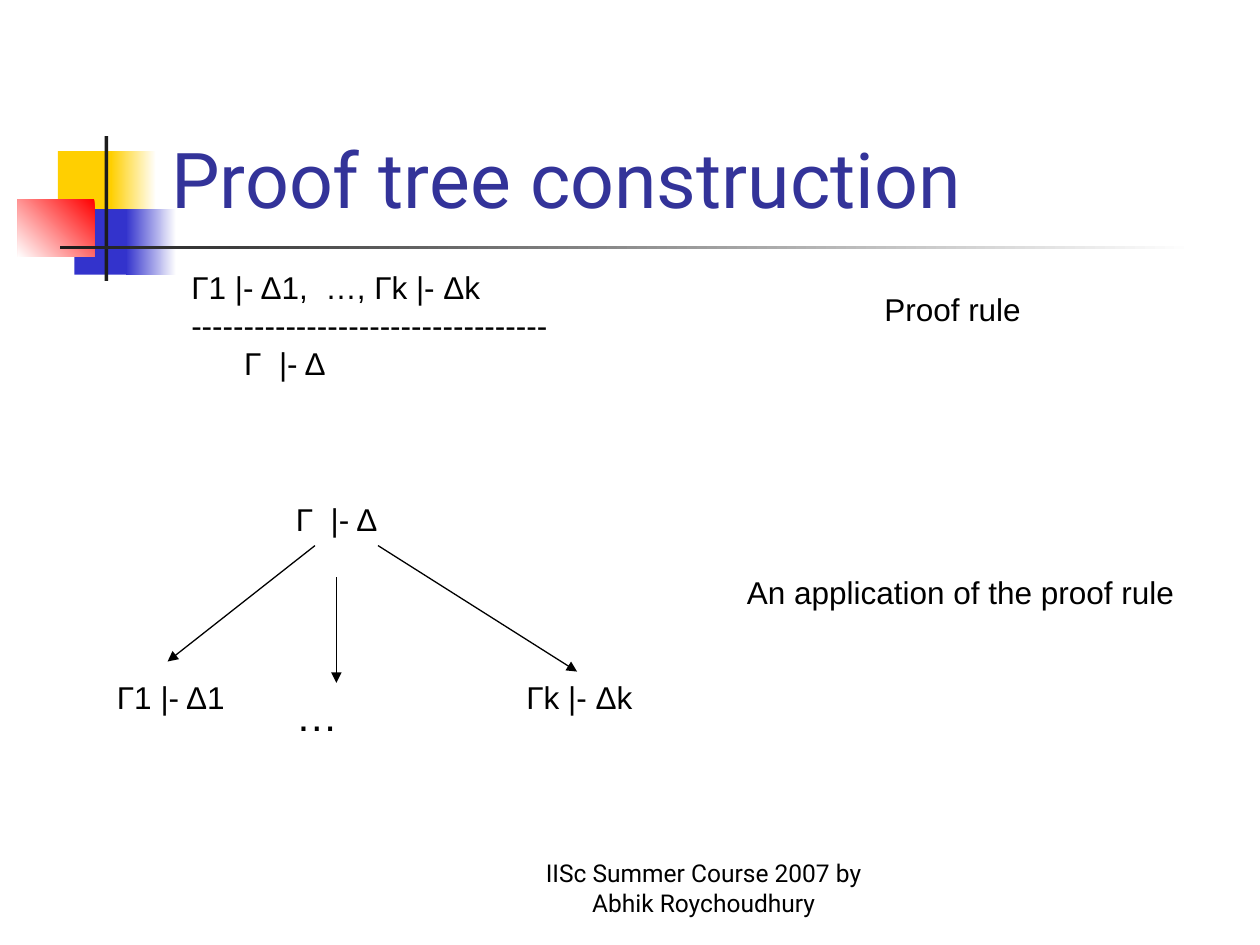
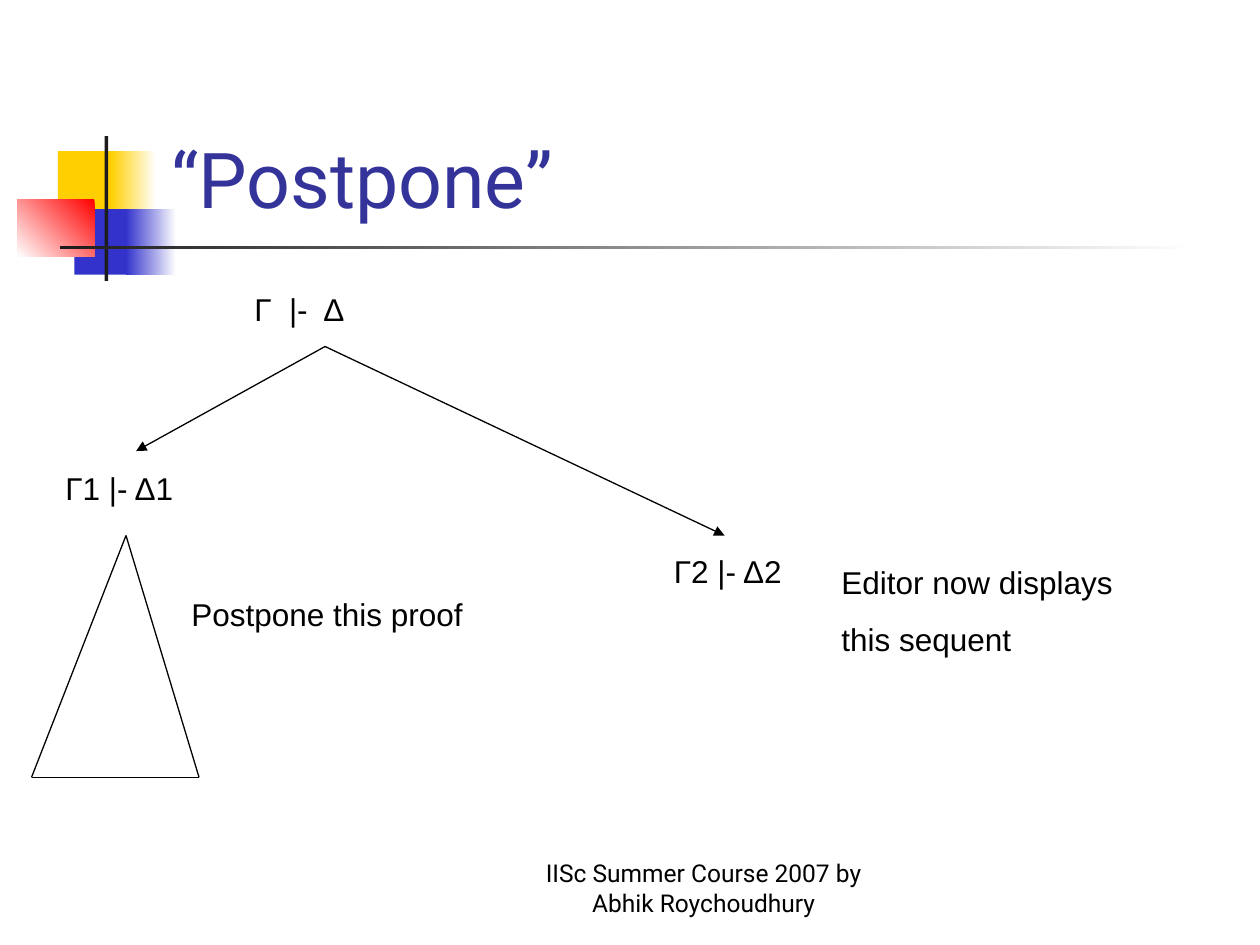
from dataclasses import dataclass

from lxml.etree import SubElement
from pptx import Presentation
from pptx.dml.color import RGBColor
from pptx.enum.shapes import MSO_CONNECTOR, MSO_SHAPE
from pptx.enum.text import MSO_ANCHOR, MSO_AUTO_SIZE, PP_ALIGN
from pptx.oxml.ns import qn
from pptx.util import Inches, Pt

BLACK = RGBColor(0x00, 0x00, 0x00)
WHITE = RGBColor(0xFF, 0xFF, 0xFF)
CHARCOAL = RGBColor(0x1C, 0x1C, 0x1C)
YELLOW = RGBColor(0xFF, 0xCF, 0x01)
BLUE = RGBColor(0x33, 0x33, 0xCC)
RED = RGBColor(0xFF, 0x00, 0x00)
TITLE_BLUE = RGBColor(0x33, 0x33, 0x99)
BODY_FONT = "Arial"
HEADING_FONT = "Roboto"
TITLE_ONLY = 5
LABEL_HEIGHT = 0.4
SPACED = 11.2
FOOTER = "IISc Summer Course 2007 by Abhik Roychoudhury"


@dataclass
class Box:
    left: float
    top: float
    width: float
    height: float = LABEL_HEIGHT

    def inside(self, left, top, width, height=LABEL_HEIGHT):
        return Box(self.left + left, self.top + top, width, height)

    def point(self, x, y):
        return self.left + x, self.top + y

    def lengths(self):
        return [Inches(n) for n in (self.left, self.top, self.width, self.height)]


TITLE_BOX = Box(1.26, 0.23, 8.52, 1.6)
FOOTER_BOX = Box(4, 6.83, 3.17, 0.5)
EMBLEM_BOX = Box(0.14, 1.08, 9.34, 1.15)


def write_text(frame, text, size=18, font=BODY_FONT, color=BLACK, align=PP_ALIGN.LEFT,
               anchor=MSO_ANCHOR.TOP, before=0, wrap=True, fit=MSO_AUTO_SIZE.NONE,
               indents=()):
    frame.word_wrap = wrap
    frame.auto_size = fit
    frame.vertical_anchor = anchor
    frame.text = text
    for para in frame.paragraphs:
        para.alignment = align
        para.space_before = Pt(before)
        for span in para.runs:
            span.font.size = Pt(size)
            span.font.name = font
            span.font.color.rgb = color
    for para, indent in zip(frame.paragraphs, indents):
        para._p.get_or_add_pPr().set("marL", str(Inches(indent)))


def add_label(page, box, text, **text_format):
    label = page.shapes.add_textbox(*box.lengths())
    text_format.setdefault("fit", MSO_AUTO_SIZE.SHAPE_TO_FIT_TEXT)
    write_text(label.text_frame, text, **text_format)


def add_block(page, box, colors, angle=180):
    block = page.shapes.add_shape(MSO_SHAPE.RECTANGLE, *box.lengths())
    block.shadow.inherit = False
    block.line.fill.background()
    if len(colors) == 1:
        block.fill.solid()
        block.fill.fore_color.rgb = colors[0]
    else:
        block.fill.gradient()
        block.fill.gradient_angle = angle
        for stop, color in zip(block.fill.gradient_stops, colors):
            stop.color.rgb = color


def add_line(page, start, end, arrow=False):
    line = page.shapes.add_connector(
        MSO_CONNECTOR.STRAIGHT, *[Inches(n) for n in (*start, *end)])
    line.line.color.rgb = BLACK
    line.line.width = Pt(0.75)
    if arrow:
        SubElement(line.line._get_or_add_ln(), qn("a:tailEnd"), type="triangle")
    SubElement(line._element.spPr, qn("a:effectLst"))


def add_emblem(page, box):
    add_block(page, box.inside(0.32, 0.12, 0.48, 0.52), [YELLOW])
    add_block(page, box.inside(0.74, 0.12, 0.36, 0.52), [WHITE, YELLOW])
    add_block(page, box.inside(0.45, 0.58, 0.46, 0.52), [BLUE])
    add_block(page, box.inside(0.86, 0.58, 0.4, 0.52), [WHITE, BLUE])
    add_block(page, box.inside(0, 0.5, 0.61, 0.46), [RED, WHITE], angle=225)
    add_block(page, box.inside(0.69, 0, 0.03, box.height), [CHARCOAL])
    add_block(page, box.inside(0.34, 0.87, 9, 0.03), [WHITE, CHARCOAL])


def add_page(deck, title_text):
    page = deck.slides.add_slide(deck.slide_layouts[TITLE_ONLY])
    add_emblem(page, EMBLEM_BOX)
    title = page.shapes.title
    title.left, title.top, title.width, title.height = TITLE_BOX.lengths()
    write_text(title.text_frame, title_text, size=44, font=HEADING_FONT,
               color=TITLE_BLUE, anchor=MSO_ANCHOR.BOTTOM)
    page.shapes._spTree.append(title._element)
    add_label(page, FOOTER_BOX, FOOTER, size=14, font=HEADING_FONT,
              align=PP_ALIGN.CENTER, anchor=MSO_ANCHOR.BOTTOM, fit=MSO_AUTO_SIZE.NONE)
    return page


def add_rule(page, box):
    lines = ["Γ1 |- Δ1,  …, Γk |- Δk", "-" * 34, "Γ  |- Δ"]
    add_label(page, box.inside(0, 0, 5, 1), "\n".join(lines), indents=(0, 0, 0.42))
    add_label(page, box.inside(5.5, 0.17, 2.17), "Proof rule", before=SPACED)


def add_rule_tree(page, box):
    add_label(page, box.inside(1.42, 0, 2.25, 0.86), "Γ  |- Δ")
    add_label(page, box.inside(0, 1.41, 1.07), "Γ1 |- Δ1", wrap=False)
    add_label(page, box.inside(3.25, 1.41, 1.04), "Γk |- Δk", wrap=False)
    add_label(page, box.inside(1.42, 1.5, 1.42, 0.5), "…", size=24, before=15)
    branches = [((1.67, 0.41), (0.5, 1.33)),
                ((2.17, 0.41), (3.75, 1.41)),
                ((1.84, 0.66), (1.84, 1.5))]
    for start, end in branches:
        add_line(page, box.point(*start), box.point(*end), arrow=True)
    add_label(page, box.inside(5, 0.58, 3.67), "An application of the proof rule",
              before=SPACED)


def add_sequent_tree(page, box):
    add_label(page, box.inside(1.5, 0, 5.83), "Γ  |-  Δ", before=SPACED)
    add_label(page, box.inside(0, 1.42, 3.25), "Γ1 |- Δ1", before=SPACED)
    add_label(page, box.inside(4.83, 2.08, 1.07), "Γ2 |- Δ2", wrap=False)
    add_label(page, box.inside(6.16, 2.17, 2.58, 0.86),
              "Editor now displays\nthis sequent", before=SPACED)
    for end in ((0.66, 1.33), (5.33, 2)):
        add_line(page, box.point(2.16, 0.5), box.point(*end), arrow=True)


def add_postponed_proof(page, box):
    apex = box.point(0.75, 0)
    left_corner = box.point(0, box.height)
    right_corner = box.point(box.width, box.height)
    corners = [apex, left_corner, right_corner]
    for start, end in zip(corners, corners[1:] + corners[:1]):
        add_line(page, start, end)
    add_label(page, box.inside(1.17, 0.42, 2.92), "Postpone this proof", before=SPACED)


def build_construction_page(deck):
    page = add_page(deck, "Proof tree construction")
    add_rule(page, Box(1.42, 2.08, 7.67, 1))
    add_rule_tree(page, Box(0.83, 3.92, 8.67, 2))


def build_postpone_page(deck):
    page = add_page(deck, "“Postpone”")
    add_sequent_tree(page, Box(0.42, 2.25, 8.74, 3.03))
    add_postponed_proof(page, Box(0.25, 4.25, 1.33, 1.92))


def main():
    deck = Presentation()
    deck.slide_width, deck.slide_height = Inches(10), Inches(7.5)
    build_construction_page(deck)
    build_postpone_page(deck)
    deck.save("out.pptx")


if __name__ == "__main__":
    main()
